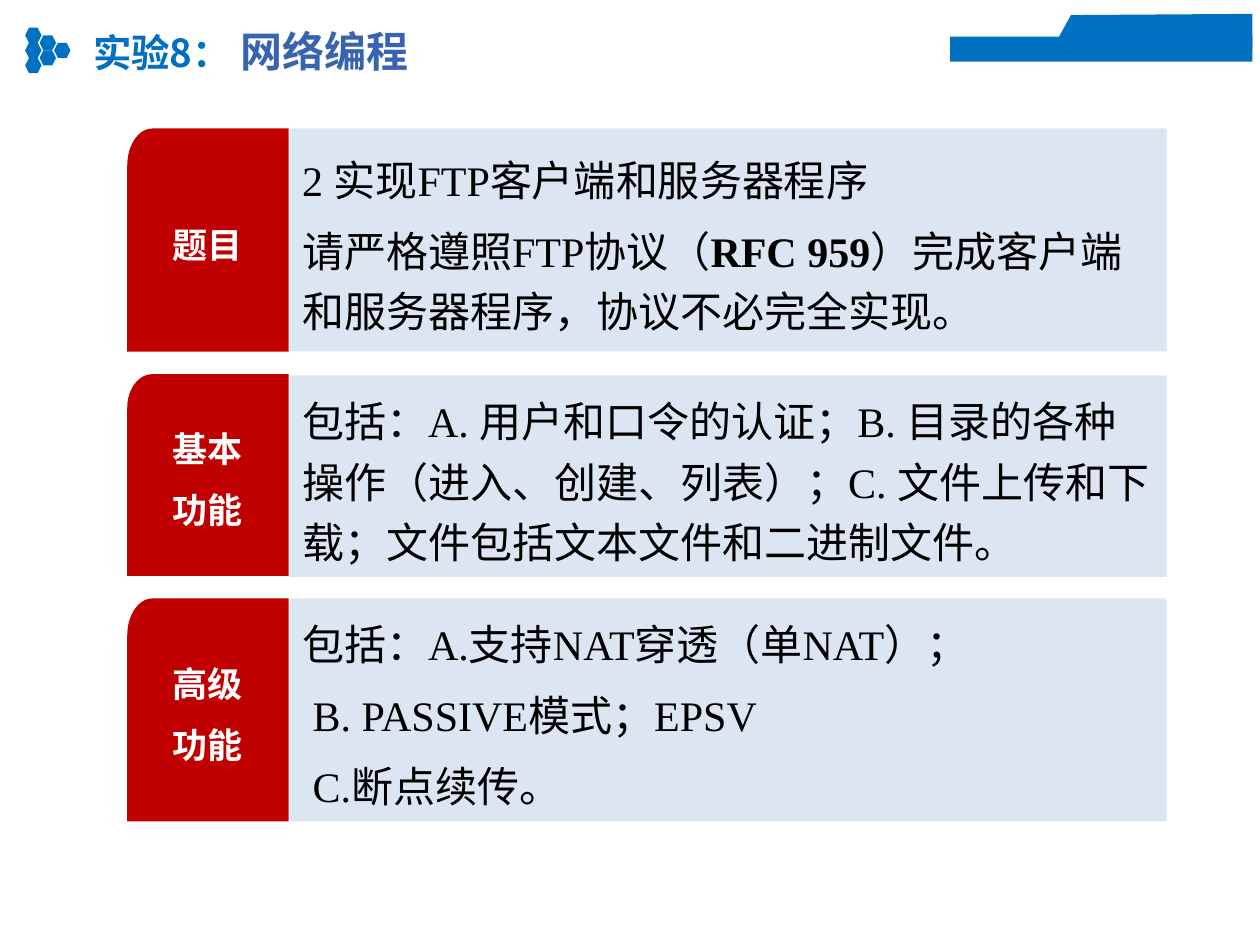
from dataclasses import dataclass
from math import cos, pi, sin

from lxml import etree
from pptx import Presentation
from pptx.dml.color import RGBColor
from pptx.enum.shapes import MSO_SHAPE
from pptx.enum.text import MSO_ANCHOR, MSO_AUTO_SIZE, PP_ALIGN
from pptx.oxml.ns import qn
from pptx.util import Inches, Pt

RECT, HEX = MSO_SHAPE.RECTANGLE, MSO_SHAPE.HEXAGON
MIDDLE = MSO_ANCHOR.MIDDLE
FIT = MSO_AUTO_SIZE.SHAPE_TO_FIT_TEXT
LEFT, CENTER = PP_ALIGN.LEFT, PP_ALIGN.CENTER


@dataclass(frozen=True)
class Theme:
    blue: str = "0070C0"
    title: str = "3763B1"
    red: str = "C00000"
    pale: str = "DCE6F2"
    white: str = "FFFFFF"
    black: str = "000000"
    latin: str = "Times New Roman"
    asian: str = "Noto Sans CJK SC"
    lead_size: int = 22
    body_size: int = 24
    tab_size: int = 20


THEME = Theme()

# Left edge, tab width, panel left and panel width, in inches
TAB_X, TAB_W = 1.01, 1.28
PANEL_X, PANEL_W = 2.3, 6.96

# Tab top, panel top, height, tab lines, panel paragraphs (as runs: text, bold)
ROWS = [
    (1.02, 1.02, 1.77, ["题目"], [
        [("2 实现FTP客户端和服务器程序", False)],
        [("请严格遵照FTP协议（", False), ("RFC 959", True),
         ("）完成客户端和服务器程序，协议不必完全实现。", False)]]),
    (2.97, 2.98, 1.6, ["基本", "功能"], [
        [("包括：A. 用户和口令的认证；B. 目录的各种操作（进入、创建、列表）；"
          "C. 文件上传和下载；文件包括文本文件和二进制文件。", False)]]),
    (4.75, 4.75, 1.77, ["高级", "功能"], [
        [("包括：A.支持NAT穿透（单NAT）；", False)],
        [(" B. PASSIVE模式；EPSV", False)],
        [(" C.断点续传。", False)]]),
]


def paint(shape, color):
    shape.shadow.inherit = False
    shape.fill.solid()
    shape.fill.fore_color.rgb = RGBColor.from_string(color)
    shape.line.fill.background()
    return shape


def add_block(slide, kind, x, y, w, h, color):
    box = [Inches(v) for v in (x, y, w, h)]
    return paint(slide.shapes.add_shape(kind, *box), color)


def add_free(slide, points, color):
    dots = [(Inches(x), Inches(y)) for x, y in points]
    pen = slide.shapes.build_freeform(*dots[0], scale=1.0)
    pen.add_line_segments(dots[1:], close=True)
    return paint(pen.convert_to_shape(), color)


def set_font(font, size, color, face):
    font.size = Pt(size)
    font.color.rgb = RGBColor.from_string(color)
    font.name = face


def add_text(shape, lines, size, color, align, bold=None):
    frame = shape.text_frame
    frame.word_wrap = True
    frame.vertical_anchor = MIDDLE
    for i, runs in enumerate(lines):
        para = frame.add_paragraph() if i else frame.paragraphs[0]
        para.alignment = align
        para.line_spacing = 1.2
        para.space_before = Pt(6)
        set_font(para.font, size, color, THEME.latin)
        para.font.bold = bold
        # East Asian face beside the Latin one
        props = para._p.pPr.find(qn("a:defRPr"))
        etree.SubElement(props, qn("a:ea"), typeface=THEME.asian)
        for text, strong in runs:
            run = para.add_run()
            run.text = text
            if strong:
                run.font.bold = True


def add_tab(slide, y, h, lines):
    # Only the top left corner is rounded, as a quarter ellipse
    rx, ry, steps = 0.2, h / 6, 16
    turns = [pi / 2 * i / steps for i in range(steps + 1)]
    arc = [(TAB_X + rx * (1 - sin(t)), y + ry * (1 - cos(t))) for t in turns]
    right, base = TAB_X + TAB_W, y + h
    tab = add_free(slide, [(right, y), *arc, (TAB_X, base), (right, base)],
                   THEME.red)
    add_text(tab, [[(line, False)] for line in lines],
             THEME.tab_size, THEME.white, CENTER, True)


def add_head(slide):
    # Stepped bar at the top right
    add_block(slide, RECT, 7.54, 0.29, 2.4, 0.2, THEME.blue)
    add_free(slide, [(9.94, 0.39), (9.94, 0.11), (8.5, 0.12), (8.35, 0.39)],
             THEME.blue)

    # Honeycomb: columns of three, two and one cells
    for col in range(3):
        for row in range(3 - col):
            add_block(slide, HEX, 0.2 + 0.115 * col,
                      0.22 + 0.06 * col + 0.12 * row, 0.13, 0.12, THEME.blue)

    # Title
    box = slide.shapes.add_textbox(Inches(0.64), Inches(0.15),
                                   Inches(2.97), Inches(0.5))
    box.text_frame.word_wrap = True
    box.text_frame.auto_size = FIT
    para = box.text_frame.paragraphs[0]
    for text, size, color in (("实验8：", THEME.lead_size, THEME.blue),
                              (" 网络编程", THEME.body_size, THEME.title)):
        run = para.add_run()
        run.text = text
        set_font(run.font, size, color, THEME.asian)
        run.font.bold = True
        etree.SubElement(run._r.rPr, qn("a:ea"), typeface=THEME.asian)


def main():
    deck = Presentation()
    deck.slide_width, deck.slide_height = Inches(10), Inches(7.5)
    slide = deck.slides.add_slide(deck.slide_layouts[6])
    add_head(slide)

    # One red tab and one pale panel per row
    for tab_y, panel_y, h, label, lines in ROWS:
        add_tab(slide, tab_y, h, label)
        panel = add_block(slide, RECT, PANEL_X, panel_y, PANEL_W, h, THEME.pale)
        add_text(panel, lines, THEME.body_size, THEME.black, LEFT)
    deck.save("out.pptx")


if __name__ == "__main__":
    main()
